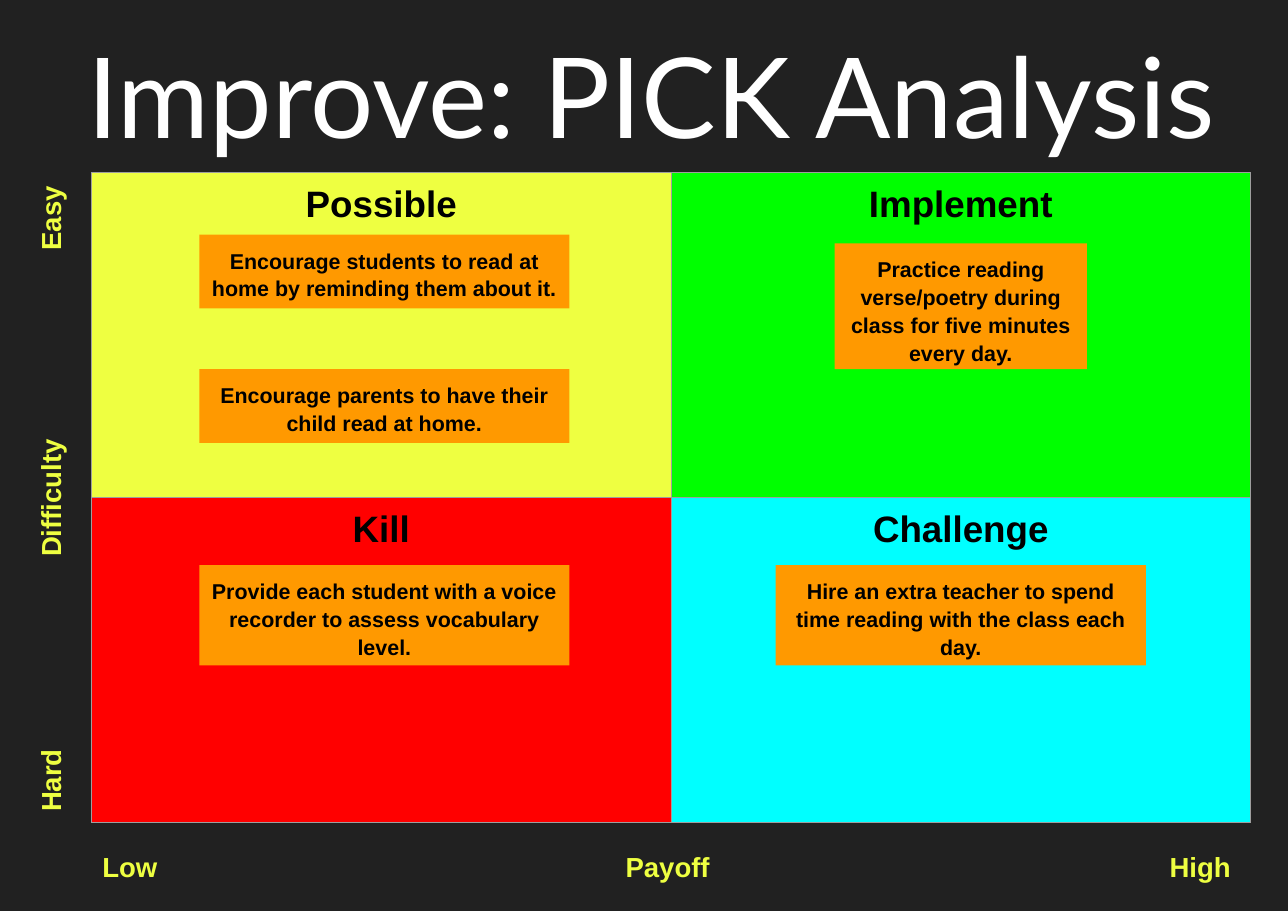
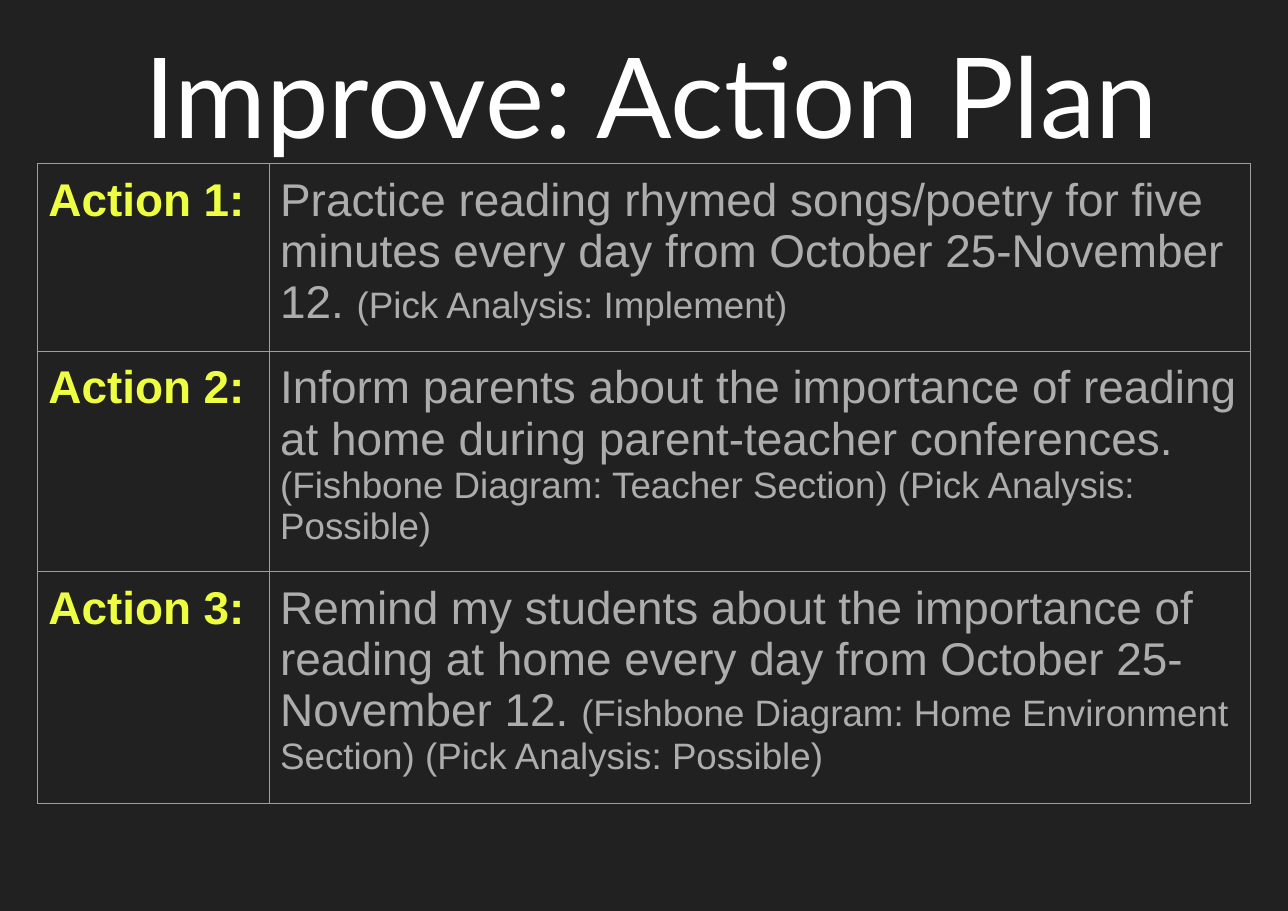
from lxml import etree
from pptx import Presentation
from pptx.dml.color import RGBColor
from pptx.enum.shapes import MSO_SHAPE
from pptx.enum.text import MSO_ANCHOR, PP_ALIGN
from pptx.oxml.ns import qn
from pptx.util import Inches, Pt

RECT = MSO_SHAPE.RECTANGLE
TOP = MSO_ANCHOR.TOP
LEFT, CENTER = PP_ALIGN.LEFT, PP_ALIGN.CENTER
INSET = Inches(0.1)


def rgb(value):
    return RGBColor.from_string(value)


def add_run(p, text, size=18, color="000000", font="Arial", bold=False):
    r = p.add_run()
    r.text = text
    r.font.size = Pt(size)
    r.font.name = font
    r.font.bold = bold
    r.font.color.rgb = rgb(color)


class Deck:
    BACKGROUND = "212121"
    TITLE = "FFFFFF"
    ACCENT = "EEFF41"
    BODY = "ADADAD"
    NOTE = "FF9900"
    BORDER = "9E9E9E"

    def __init__(self, width, height):
        self.prs = Presentation()
        self.prs.slide_width = Inches(width)
        self.prs.slide_height = Inches(height)
        self.s = None

    def x(self, percent):
        return round(self.prs.slide_width * percent / 100)

    def y(self, percent):
        return round(self.prs.slide_height * percent / 100)

    def box(self, x, y, w, h):
        return self.x(x), self.y(y), self.x(w), self.y(h)

    def frame(self, sp):
        tf = sp.text_frame
        tf.word_wrap = True
        tf.vertical_anchor = TOP
        tf.margin_left = tf.margin_right = INSET
        tf.margin_top = tf.margin_bottom = INSET
        return tf

    def slide(self, title):
        self.s = self.prs.slides.add_slide(self.prs.slide_layouts[6])
        fill = self.s.background.fill
        fill.solid()
        fill.fore_color.rgb = rgb(self.BACKGROUND)
        sp = self.s.shapes.add_textbox(*self.box(3.93, 1.69, 93.24, 17.29))
        p = self.frame(sp).paragraphs[0]
        p.alignment = CENTER
        add_run(p, title, size=73, color=self.TITLE, font="Lato")

    def axis(self, labels, x, y, w, h, vertical=False):
        left, top, width, height = self.box(x, y, w, h)
        length = height if vertical else width
        if vertical:
            left += (width - height) // 2
            top += (height - width) // 2
            width, height = height, width
        sp = self.s.shapes.add_textbox(left, top, width, height)
        sp.rotation = 270 if vertical else 0
        p = self.frame(sp).paragraphs[0]
        add_run(p, "\t".join(labels), color=self.ACCENT, bold=True)
        tabs = etree.SubElement(p._p.get_or_add_pPr(), qn("a:tabLst"))
        stops = (length // 2 - INSET, "ctr"), (length - round(2.2 * INSET), "r")
        for pos, align in stops:
            etree.SubElement(tabs, qn("a:tab"), pos=str(pos), algn=align)

    def note(self, text, center, y, w, h):
        sp = self.s.shapes.add_shape(RECT, *self.box(center - w / 2, y, w, h))
        sp.shadow.inherit = False
        sp.fill.solid()
        sp.fill.fore_color.rgb = rgb(self.NOTE)
        sp.line.fill.background()
        p = self.frame(sp).paragraphs[0]
        p.alignment = CENTER
        p.line_spacing = 1.08
        add_run(p, text, size=14, bold=True)

    def borders(self, cell):
        tcPr = cell._tc.get_or_add_tcPr()
        for side in ("a:lnL", "a:lnR", "a:lnT", "a:lnB"):
            ln = etree.SubElement(tcPr, qn(side), w=str(Pt(0.75)))
            fill = etree.SubElement(ln, qn("a:solidFill"))
            etree.SubElement(fill, qn("a:srgbClr"), val=self.BORDER)

    def cell(self, cell, runs, fill=None, align=LEFT):
        cell.margin_left = cell.margin_right = INSET
        cell.margin_top = cell.margin_bottom = INSET
        cell.vertical_anchor = TOP
        self.borders(cell)
        if fill:
            cell.fill.solid()
            cell.fill.fore_color.rgb = rgb(fill)
        else:
            cell.fill.background()
        p = cell.text_frame.paragraphs[0]
        p.alignment = align
        for text, style in runs:
            add_run(p, text, **style)

    def table(self, x, y, cols, rows, cells):
        area = self.box(x, y, sum(cols), sum(rows))
        tbl = self.s.shapes.add_table(len(rows), len(cols), *area).table
        tbl.first_row = tbl.horz_banding = False
        for col, w in zip(tbl.columns, cols):
            col.width = self.x(w)
        for row, h in zip(tbl.rows, rows):
            row.height = self.y(h)
        for i, line in enumerate(cells):
            for j, content in enumerate(line):
                self.cell(tbl.cell(i, j), **content)


def pick_slide(deck):
    left, top, col, row = 7.1, 18.98, 45, 35.67
    heading = dict(size=24, bold=True)
    quadrants = [
        [("Possible", "EEFF41"), ("Implement", "00FF00")],
        [("Kill", "FF0000"), ("Challenge", "00FFFF")],
    ]
    deck.slide("Improve: PICK Analysis")
    deck.table(left, top, [col] * 2, [row] * 2, [
        [dict(runs=[(name, heading)], fill=fill, align=CENTER)
         for name, fill in line]
        for line in quadrants
    ])
    deck.axis(["Low", "Payoff", "High"], left, 92.14, 89.5, 6.05)
    deck.axis(["Hard", "Difficulty", "Easy"], 1.75, top, 4.28, 2 * row,
              vertical=True)

    near, far, wide, narrow = 29.85, 74.6, 28.74, 19.59
    two, three, four = 8.1, 11, 13.8
    notes = [
        ("Practice reading verse/poetry during class for five minutes "
         "every day.", far, 26.72, narrow, four),
        ("Encourage students to read at home by reminding them about it.",
         near, 25.76, wide, two),
        ("Hire an extra teacher to spend time reading with the class "
         "each day.", far, 62.03, wide, three),
        ("Encourage parents to have their child read at home.",
         near, 40.51, wide, two),
        ("Provide each student with a voice recorder to assess vocabulary "
         "level.", near, 62.03, wide, three),
    ]
    for note in notes:
        deck.note(*note)


def action_slide(deck):
    label = dict(size=30, color=deck.ACCENT, bold=True)
    body = dict(size=30, color=deck.BODY)
    source = dict(size=24, color=deck.BODY)
    actions = [
        ("Practice reading rhymed songs/poetry for five minutes every day "
         "from October 25-November 12. ",
         "(Pick Analysis: Implement)"),
        ("Inform parents about the importance of reading at home during "
         "parent-teacher conferences. ",
         "(Fishbone Diagram: Teacher Section) (Pick Analysis: Possible)"),
        ("Remind my students about the importance of reading at home every "
         "day from October 25-November 12. ",
         "(Fishbone Diagram: Home Environment Section) "
         "(Pick Analysis: Possible)"),
    ]
    deck.slide("Improve: Action Plan")
    deck.table(2.9, 17.95, [18, 76.2], [20.63, 24.18, 25.3], [
        [dict(runs=[(f"Action {n}:", label)]),
         dict(runs=[(text, body), (ref, source)])]
        for n, (text, ref) in enumerate(actions, 1)
    ])


def main():
    deck = Deck(11.69, 8.27)
    pick_slide(deck)
    action_slide(deck)
    deck.prs.save("out.pptx")


if __name__ == "__main__":
    main()
